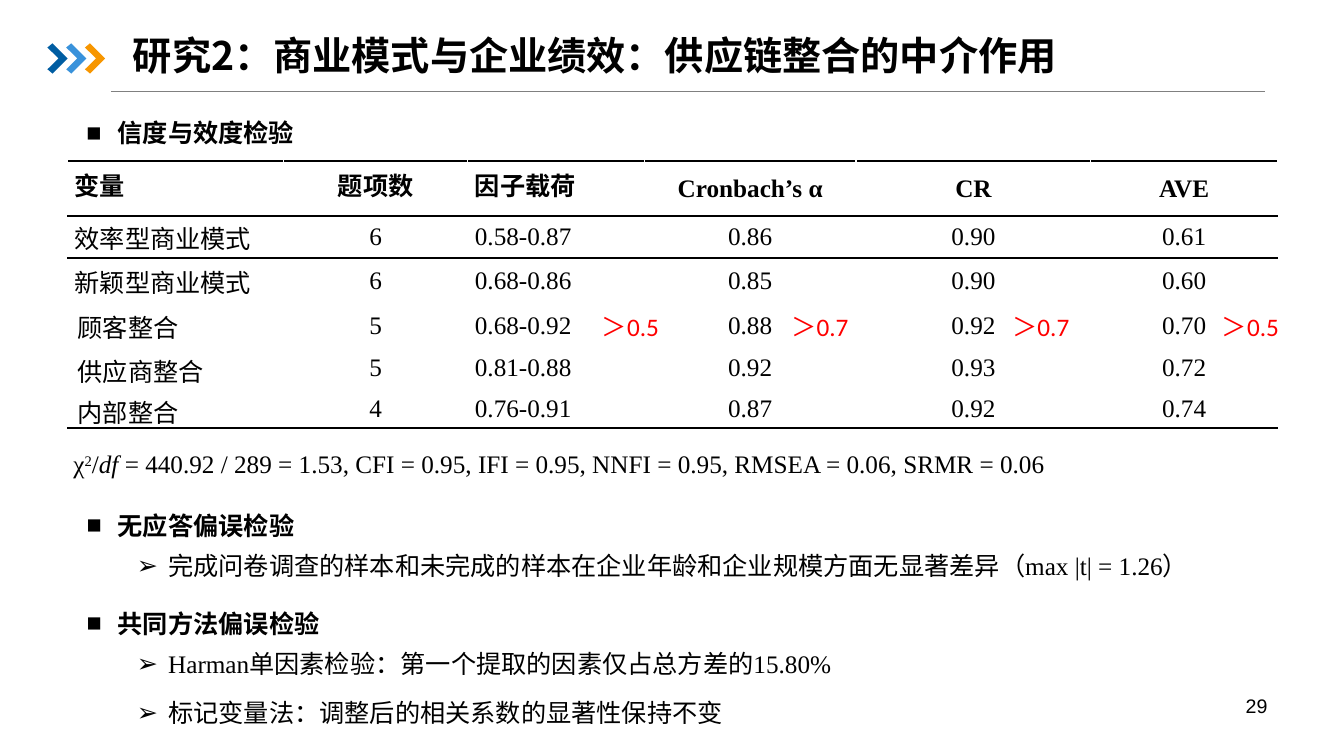
from dataclasses import dataclass
from lxml.etree import SubElement as Sub
from pptx import Presentation
from pptx.dml.color import RGBColor as RGB
from pptx.enum.shapes import MSO_CONNECTOR as Conn
from pptx.enum.text import MSO_ANCHOR as Anchor, PP_ALIGN as Align
from pptx.oxml.ns import qn
from pptx.util import Inches, Pt


@dataclass(frozen=True)
class Theme:
    ink: str = "000000"
    alert: str = "FF0000"
    rule: str = "808080"
    marks: tuple = ("005DA2", "3992DB", "F79600")
    sans: str = "Noto Sans CJK SC"
    serif: str = "Times New Roman"
    note: str = "Calibri"
    foot: str = "Arial"
    title: int = 28
    body: int = 18
    page: int = 14


@dataclass(frozen=True)
class Box:
    left: float
    top: float
    width: float
    height: float

    def cut(self, x, y, w, h):
        """Inner box, in percent of this one."""
        return Box(self.left + self.width * x / 100, self.top + self.height * y / 100,
                   self.width * w / 100, self.height * h / 100)

    def emu(self):
        return [Inches(v) for v in (self.left, self.top, self.width, self.height)]


T = Theme()
PAGE = Box(0, 0, 13.33, 7.5)
HEADS = ("变量", "题项数", "因子载荷", "Cronbach’s α", "CR", "AVE")
ROWS = (
    ("效率型商业模式", "6", "0.58-0.87", "0.86", "0.90", "0.61"),
    ("新颖型商业模式", "6", "0.68-0.86", "0.85", "0.90", "0.60"),
    ("顾客整合", "5", "0.68-0.92", "0.88", "0.92", "0.70"),
    ("供应商整合", "5", "0.81-0.88", "0.92", "0.93", "0.72"),
    ("内部整合", "4", "0.76-0.91", "0.87", "0.92", "0.74"),
)
COLS = (2.14, 1.83, 1.75, 2.1, 2.33, 1.85)
TALL = (0.54, 0.42, 0.45, 0.44, 0.36, 0.36)
LIMITS = ((42.88, "＞0.5"), (58.27, "＞0.7"), (76.19, "＞0.7"), (93.21, "＞0.5"))
CHEVRON = ((0, 14), (25, 0), (100, 50), (25, 100), (0, 86), (55, 50))


def add_run(para, text, face=T.sans, size=T.body, color=T.ink, bold=False, italic=False):
    run = para.add_run()
    run.text = text
    font = run.font
    font.size, font.bold, font.italic, font.name = Pt(size), bold, italic, face
    font.color.rgb = RGB.from_string(color)
    Sub(font._element, qn("a:ea"), typeface=T.sans)
    return run


def add_text(slide, box, wrap=True):
    frame = slide.shapes.add_textbox(*box.emu()).text_frame
    frame.word_wrap = wrap
    return frame


def add_point(para, level, lead, after=0):
    """Turn a paragraph into a bullet of the given level."""
    para.level = level
    para.line_spacing = Pt(lead)
    para.space_after = Pt(after)
    props = para._p.get_or_add_pPr()
    props.set("marL", str(Inches(0.31 + 0.5 * level)))
    props.set("indent", str(-Inches(0.31)))
    Sub(props, qn("a:buFont"), typeface=T.foot)
    Sub(props, qn("a:buChar"), char="■➢"[level])


def add_header(slide, box, title):
    x, y, w, h = box.cut(5.2, 100, 94.8, 0).emu()
    rule = slide.shapes.add_connector(Conn.STRAIGHT, x, y, x + w, y)
    rule.line.color.rgb = RGB.from_string(T.rule)
    rule.line.width = Pt(0.5)
    Sub(rule._element.spPr, qn("a:effectLst"))
    for i, color in enumerate(T.marks):
        cell = box.cut(1.54 * i, 20, 1.66, 50)
        dots = [cell.cut(px, py, 0, 0).emu()[:2] for px, py in CHEVRON]
        pen = slide.shapes.build_freeform(*dots[0])
        pen.add_line_segments(dots[1:], close=True)
        mark = pen.convert_to_shape()
        mark.shadow.inherit = False
        mark.fill.solid()
        mark.fill.fore_color.rgb = RGB.from_string(color)
        mark.line.fill.background()
    frame = add_text(slide, box.cut(6.2, 0, 79.06, 88.33))
    frame.vertical_anchor = Anchor.MIDDLE
    para = frame.paragraphs[0]
    para.line_spacing = 0.9
    add_run(para, title, size=T.title, bold=True)


def add_edge(cell, side):
    line = Sub(cell._tc.get_or_add_tcPr(), qn("a:" + side), w=str(Pt(1.5)))
    Sub(Sub(line, qn("a:solidFill")), qn("a:srgbClr"), val=T.ink)


def fill_cell(cell, text, row, col):
    if row < 3 or col:
        cell.margin_left = cell.margin_right = Inches(0.07)
        cell.margin_top, cell.margin_bottom = Inches(0.01), 0
    cell.vertical_anchor = Anchor.MIDDLE
    if row < 2:
        add_edge(cell, "lnT")
    if row in (0, len(ROWS)):
        add_edge(cell, "lnB")
    cell.fill.background()
    para = cell.text_frame.paragraphs[0]
    para.alignment = Align.LEFT if col in (0, 2) else Align.CENTER
    if row == 0 or col > 2 or (col == 1 and row > 2):
        para.line_spacing = Pt(20)
    add_run(para, text, T.serif, bold=row == 0)


def add_grid(slide, box):
    grid = slide.shapes.add_table(len(TALL), len(COLS), *box.emu()).table
    grid.first_row = grid.horz_banding = False
    for col, share in zip(grid.columns, COLS):
        col.width = Inches(box.width * share / sum(COLS))
    for row, share in zip(grid.rows, TALL):
        row.height = Inches(box.height * share / sum(TALL))
    for r, texts in enumerate((HEADS, *ROWS)):
        for c, text in enumerate(texts):
            fill_cell(grid.cell(r, c), text, r, c)


def add_validity(slide, box):
    add_grid(slide, box.cut(0.33, 15.12, 98.2, 68.17))
    fit = add_text(slide, box.cut(0, 89.39, 97.05, 10.61)).paragraphs[0]
    add_run(fit, "χ", T.serif)
    add_run(fit, "2", T.serif).font._element.set("baseline", "30000")
    add_run(fit, "/", T.serif)
    add_run(fit, "df ", T.serif, italic=True)
    add_run(fit, "= 440.92 / 289 = 1.53, CFI = 0.95, IFI = 0.95, NNFI = 0.95, "
                 "RMSEA = 0.06, SRMR = 0.06", T.serif)
    head = add_text(slide, box.cut(1.06, 0, 92.23, 11.67)).paragraphs[0]
    add_point(head, 0, 28)
    add_run(head, "信度与效度检验", bold=True)
    for x, text in LIMITS:
        limit = add_text(slide, box.cut(x, 53.2, 6.79, 10.61), wrap=False)
        add_run(limit.paragraphs[0], text, T.note, color=T.alert)


def add_bias(slide, box):
    points = (
        (0, 6, [("无应答偏误检验", T.sans)]),
        (1, 18, [("完成问卷调查的样本和未完成的样本在企业年龄和企业规模方面无显著差异（", T.sans),
                 ("max |t| = 1.26", T.serif), ("）", T.sans)]),
        (0, 6, [("共同方法偏误检验", T.sans)]),
        (1, 12, [("Harman", T.serif), ("单因素检验：第一个提取的因素仅占总方差的", T.sans),
                 ("15.80%", T.serif)]),
        (1, 12, [("标记变量法：调整后的相关系数的显著性保持不变", T.sans)]),
    )
    frame = add_text(slide, box)
    for i, (level, after, runs) in enumerate(points):
        para = frame.add_paragraph() if i else frame.paragraphs[0]
        add_point(para, level, 23, after)
        for text, face in runs:
            add_run(para, text, face, bold=level == 0)


def add_number(slide, box, text):
    para = add_text(slide, box).paragraphs[0]
    para.alignment = Align.RIGHT
    add_run(para, text, T.foot, T.page)


def main():
    deck = Presentation()
    deck.slide_width, deck.slide_height = PAGE.emu()[2:]
    slide = deck.slides.add_slide(deck.slide_layouts[6])
    add_header(slide, PAGE.cut(3.53, 4.13, 90.62, 8),
               "研究2：商业模式与企业绩效：供应链整合的中介作用")
    add_validity(slide, PAGE.cut(4.73, 13.73, 91.67, 50.27))
    add_bias(slide, PAGE.cut(5.7, 66.53, 89.05, 31.87))
    add_number(slide, PAGE.cut(71.72, 91.07, 23.33, 6.93), "29")
    deck.save("out.pptx")


if __name__ == "__main__":
    main()
